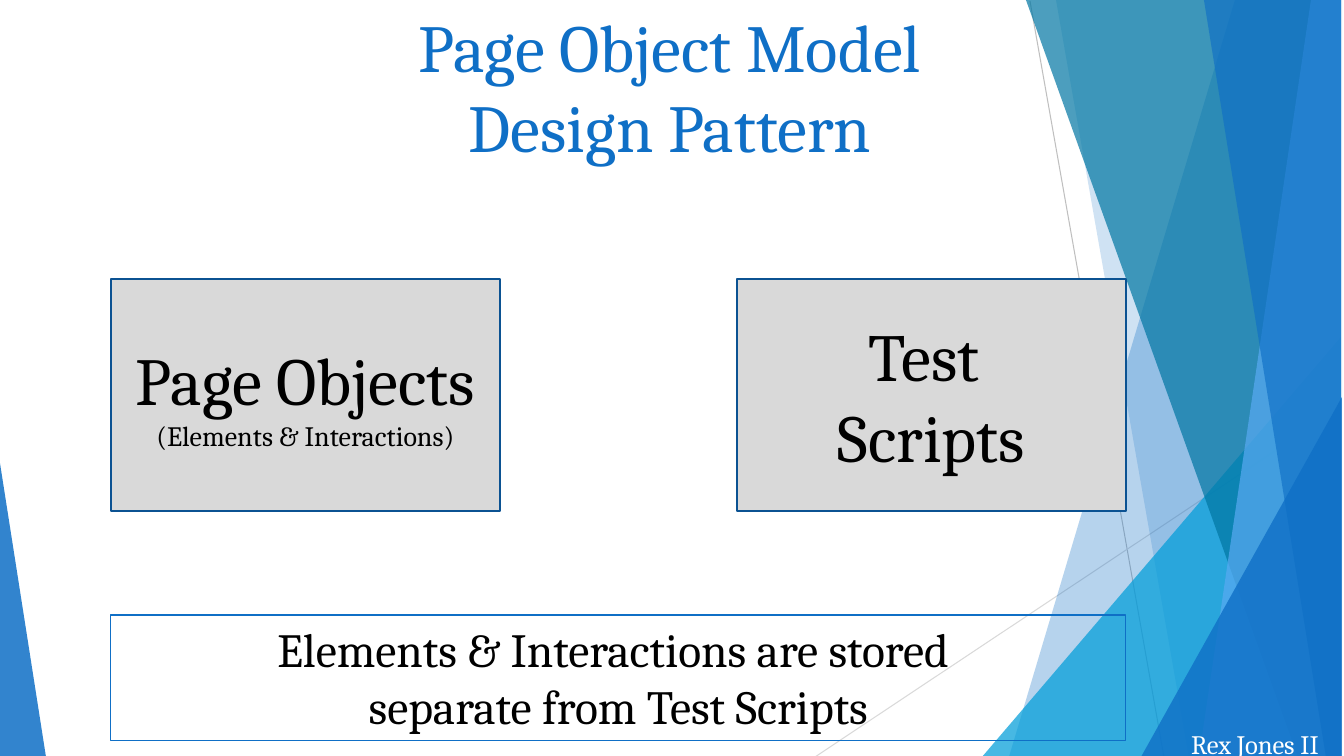
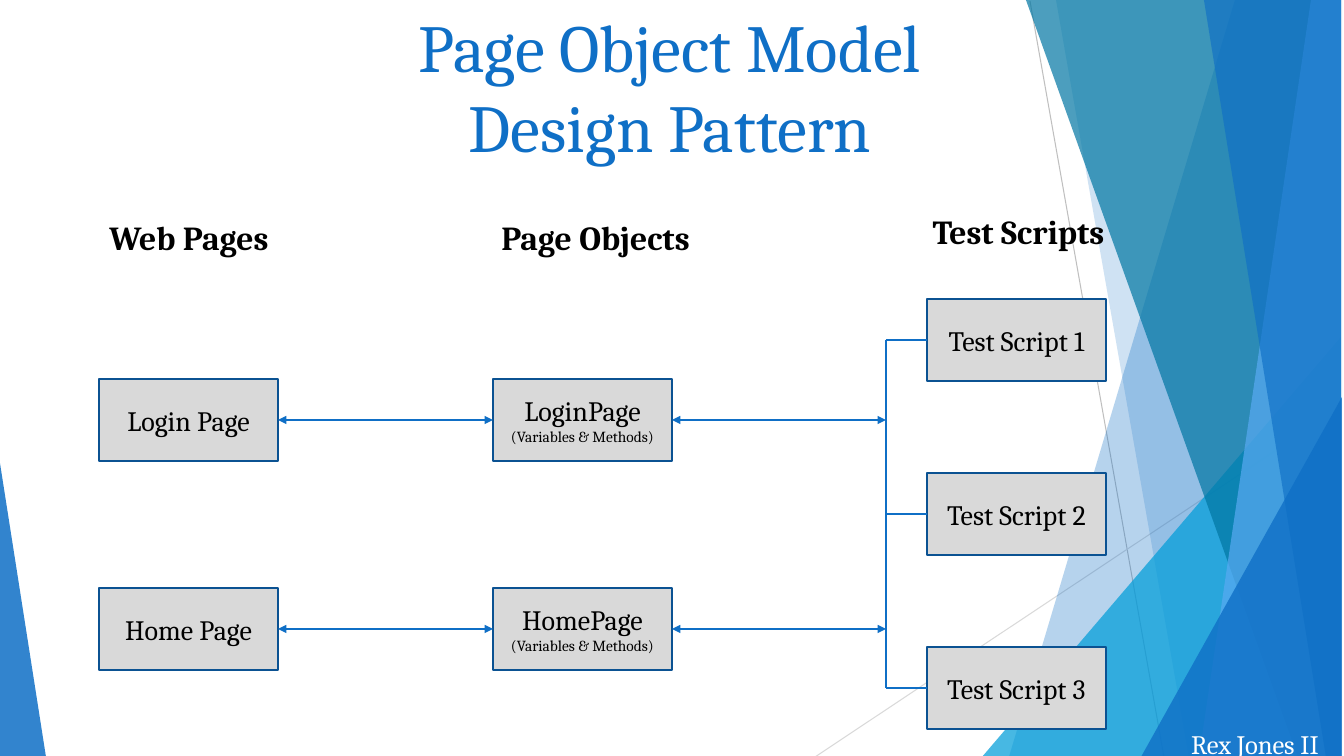
from lxml import etree
from pptx import Presentation
from pptx.dml.color import RGBColor
from pptx.enum.shapes import MSO_CONNECTOR, MSO_SHAPE
from pptx.enum.text import MSO_ANCHOR, MSO_AUTO_SIZE, PP_ALIGN
from pptx.oxml.ns import qn
from pptx.util import Emu, Pt

RECT = MSO_SHAPE.RECTANGLE
WEDGE = MSO_SHAPE.ISOSCELES_TRIANGLE
LINE = MSO_CONNECTOR.STRAIGHT
TOP, MIDDLE = MSO_ANCHOR.TOP, MSO_ANCHOR.MIDDLE
CENTER = PP_ALIGN.CENTER
FIXED = MSO_AUTO_SIZE.NONE

SCALE = 914400 / 100.8
WIDE, HIGH = 1344, 756
BASE = 757
FONT = "Cambria"
COLORS = {
    "blue": "0F6FC6", "navy": "0B5292", "cyan": "009DD9", "teal": "0076A3",
    "sky": "59AAF2", "gray": "D9D9D9", "ash": "BFBFBF",
    "black": "000000", "white": "FFFFFF",
}
TITLE = ["Page Object Model", "Design Pattern"]


def px(*sizes):
    """Turn pixels into EMU."""
    return [Emu(round(size * SCALE)) for size in sizes]


def rgb(name):
    """Look up a colour by name."""
    return RGBColor.from_string(COLORS[name])


def write(frame, *paras, color="black", bold=False, anchor=TOP):
    """Fill a frame; each paragraph is a list of (text, size) lines."""
    frame.auto_size = FIXED
    frame.vertical_anchor = anchor
    for i, lines in enumerate(paras):
        para = frame.add_paragraph() if i else frame.paragraphs[0]
        para.alignment = CENTER
        for j, (text, size) in enumerate(lines):
            if j:
                para.add_line_break()
            run = para.add_run()
            run.text = text
            run.font.name = FONT
            run.font.size = Pt(size)
            run.font.bold = bold
            run.font.color.rgb = rgb(color)


def label(slide, at, text, size, color="black", bold=False, wrap=True):
    """Add a line of text without a frame."""
    frame = slide.shapes.add_textbox(*px(*at)).text_frame
    frame.word_wrap = wrap
    write(frame, [(text, size)], color=color, bold=bold)


def box(slide, at, lines, fill="gray", edge="navy", width=1.5, anchor=MIDDLE):
    """Add a framed rectangle with text."""
    shape = slide.shapes.add_shape(RECT, *px(*at))
    shape.shadow.inherit = False
    if fill:
        shape.fill.solid()
        shape.fill.fore_color.rgb = rgb(fill)
    else:
        shape.fill.background()
    shape.line.color.rgb = rgb(edge)
    shape.line.width = Pt(width)
    write(shape.text_frame, lines, anchor=anchor)


def link(slide, start, end, color="blue", width=1, arrows=False):
    """Add a straight line, with arrowheads at both ends if asked."""
    line = slide.shapes.add_connector(LINE, *px(*start, *end))
    line.line.color.rgb = rgb(color)
    line.line.width = Pt(width)
    if arrows:
        stroke = line.element.xpath(".//a:ln")[0]
        for tag in ("a:headEnd", "a:tailEnd"):
            etree.SubElement(stroke, qn(tag), type="triangle")
    etree.SubElement(line.element.spPr, qn("a:effectLst"))


def tint(shape, color, alpha):
    """Give a shape a see-through fill (alpha in percent) and no line."""
    shape.shadow.inherit = False
    shape.fill.solid()
    shape.fill.fore_color.rgb = rgb(color)
    shape.line.fill.background()
    shade = shape.element.xpath("./p:spPr/a:solidFill/a:srgbClr")[0]
    etree.SubElement(shade, qn("a:alpha"), val=str(alpha * 1000))


def band(slide, top, base, color, alpha, right=1341):
    """Add a full-height band with a slanted left edge."""
    build = slide.shapes.build_freeform(*px(top, 0))
    points = [(right, 0), (right, BASE), (base, BASE)]
    build.add_line_segments([px(*point) for point in points])
    tint(build.convert_to_shape(), color, alpha)


def wedge(slide, at, tip, color, alpha):
    """Add a triangle whose tip sits at a share of its width."""
    shape = slide.shapes.add_shape(WEDGE, *px(*at))
    shape.adjustments[0] = tip
    tint(shape, color, alpha)


def share(slide, layout):
    """Draw the backdrop and footer, then move them to the layout."""
    link(slide, (1030, 1), (1164, BASE), "ash", 0.75)
    link(slide, (1341, 407), (815, BASE), "gray", 0.75)
    band(slide, 1235, 1009, "blue", 30)
    band(slide, 1056, 1189, "blue", 20, 1342)
    wedge(slide, (982, 337, 359, 420), 1, "cyan", 72)
    band(slide, 1026, 1298, "teal", 70)
    band(slide, 1311, 1199, "sky", 70)
    band(slide, 1204, 1326, "blue", 65)
    wedge(slide, (1141, 397, 201, 360), 1, "blue", 80)
    wedge(slide, (-3, 444, 49, 313), 0, "blue", 85)
    label(slide, (1171, 723, 168, 42), "Rex Jones II", 19, "white", wrap=False)
    parts = [part for part in slide.shapes if not part.is_placeholder]
    for num, part in enumerate(parts, 100):
        part.element.xpath(".//p:cNvPr")[0].set("id", str(num))
        layout.shapes.element.append(part.element)


def head(slide):
    """Place and fill the title."""
    title = slide.shapes.title
    title.left, title.top, title.width, title.height = px(0, 0, 1340, 175)
    write(title.text_frame, *[[(text, 48)] for text in TITLE], color="blue")


def parts(slide):
    """Show the two separate halves of the pattern."""
    head(slide)
    pair = [
        [("Page Objects", 48), ("(Elements & Interactions)", 20)],
        [("Test ", 48), ("Scripts", 48)],
    ]
    for i, lines in enumerate(pair):
        box(slide, (111 + 626 * i, 279, 389, 232), lines)
    note = ["Elements & Interactions are stored ", "separate from Test Scripts"]
    box(slide, (111, 615, 1015, 126), [(text, 34) for text in note],
        fill=None, edge="blue", width=0.75, anchor=TOP)


def flow(slide):
    """Show how pages, objects and scripts connect."""
    head(slide)
    wide, high = 179, 82
    page, model, script = 99, 493, 927
    spine = 886
    for i, name in enumerate(["Login", "Home"]):
        top = 379 + 209 * i
        mid = top + high / 2
        box(slide, (page, top, wide, high), [(f"{name} Page", 20)])
        box(slide, (model, top, wide, high),
            [(f"{name}Page", 20), ("(Variables & Methods)", 11)])
        for left, right in [(page, model), (model, spine)]:
            link(slide, (left + wide, mid), (right, mid), arrows=True)
    mids = []
    for i in range(3):
        top = 299 + 174 * i
        mids.append(top + high / 2)
        box(slide, (script, top, wide, high), [(f"Test Script {i + 1}", 20)])
        link(slide, (spine, mids[i]), (script, mids[i]))
    link(slide, (spine, mids[0]), (spine, mids[-1]))
    heads = [
        ("Web Pages", 84, 212, 210),
        ("Page Objects", 473, 212, 245),
        ("Test Scripts", 896, 206, 245),
    ]
    for text, left, top, span in heads:
        label(slide, (left, top, span, 50), text, 24, bold=True)


def main():
    """Build and save the slides."""
    deck = Presentation()
    deck.slide_width, deck.slide_height = px(WIDE, HIGH)
    layout = deck.slide_layouts[5]
    first, second = [deck.slides.add_slide(layout) for _ in range(2)]
    share(first, layout)
    parts(first)
    flow(second)
    deck.save("out.pptx")


main()
